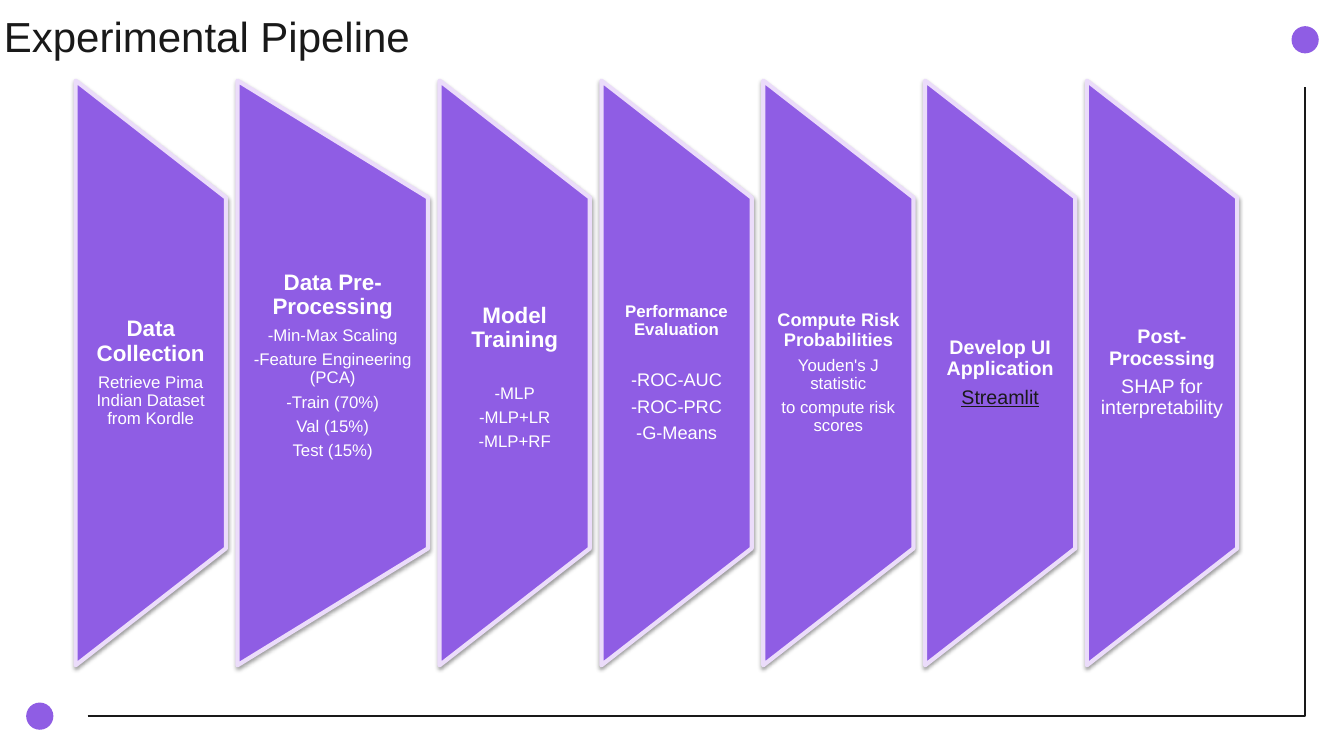
from dataclasses import dataclass

from lxml.etree import SubElement
from pptx import Presentation
from pptx.dml.color import RGBColor
from pptx.enum.shapes import MSO_SHAPE
from pptx.enum.text import MSO_ANCHOR, PP_ALIGN
from pptx.oxml.ns import qn
from pptx.util import Inches, Pt

PURPLE = RGBColor(0x8F, 0x5D, 0xE4)
LILAC = RGBColor(0xEB, 0xDC, 0xFA)
INK = RGBColor(0x19, 0x19, 0x19)
WHITE = RGBColor(0xFF, 0xFF, 0xFF)

PIPELINE_LEFT, PIPELINE_RIGHT = 0.75, 12.27
PIPELINE_MIDDLE, STAGE_HEIGHT, TEXT_HEIGHT = 3.7, 5.8, 3.48
SPACE_RATIO = 0.36


@dataclass
class Stage:
    heading: str
    heading_size: int
    lines: list
    size: int = 12
    width: float = 1.49
    heading_gap: float = 0
    color: RGBColor = WHITE
    underline: bool = False
    anchor: MSO_ANCHOR = MSO_ANCHOR.MIDDLE
    inset_top: float = 0
    inset_bottom: float = 0


STAGES = [
    Stage("Data Collection", 16, ["Retrieve Pima Indian Dataset from Kordle"]),
    Stage("Data Pre-Processing", 16,
          ["-Min-Max Scaling", "-Feature Engineering (PCA)", "-Train (70%)",
           "Val (15%)", "Test (15%)"],
          width=1.89, inset_bottom=0.15),
    Stage("Model Training", 16, ["-MLP", "-MLP+LR", "-MLP+RF"],
          heading_gap=23, anchor=MSO_ANCHOR.TOP, inset_top=1.06),
    Stage("Performance Evaluation", 12, ["-ROC-AUC", "-ROC-PRC", "-G-Means"],
          size=13, heading_gap=23),
    Stage("Compute Risk Probabilities", 13,
          ["Youden's J statistic", "to compute risk scores"]),
    Stage("Develop UI Application", 14, ["Streamlit"], size=14,
          color=INK, underline=True),
    Stage("Post-Processing", 14, ["SHAP for interpretability"], size=14),
]


def add_text_box(page, left, top, width, height, anchor=MSO_ANCHOR.TOP,
                 inset_top=0, inset_bottom=0):
    frame = page.shapes.add_textbox(
        Inches(left), Inches(top), Inches(width), Inches(height)).text_frame
    frame.word_wrap = True
    frame.vertical_anchor = anchor
    frame.margin_left = frame.margin_right = Inches(0.1)
    frame.margin_top = Inches(inset_top)
    frame.margin_bottom = Inches(inset_bottom)
    return frame


def write(para, text, size, color=WHITE, bold=False, underline=False,
          align=PP_ALIGN.CENTER, line_spacing=0.9, space_after=0):
    para.alignment = align
    para.line_spacing = line_spacing
    para.space_after = Pt(space_after)
    span = para.add_run()
    span.text = text
    font = span.font
    font.name, font.size, font.bold = "Arial", Pt(size), bold
    font.underline = underline
    font.color.rgb = color


def add_soft_shadow(shape):
    effects = SubElement(shape._element.spPr, qn("a:effectLst"))
    shadow = SubElement(effects, qn("a:outerShdw"), blurRad=str(Pt(3.1)),
                        dist=str(Pt(1.6)), dir="5400000", rotWithShape="0")
    black = SubElement(shadow, qn("a:srgbClr"), val="000000")
    SubElement(black, qn("a:alpha"), val="38000")


def add_dot(page, left, top, size=0.27):
    dot = page.shapes.add_shape(MSO_SHAPE.OVAL, Inches(left), Inches(top),
                                Inches(size), Inches(size))
    dot.shadow.inherit = False
    dot.fill.solid()
    dot.fill.fore_color.rgb = PURPLE
    dot.line.fill.background()


def add_corner_frame(page, left, top, right, bottom):
    """Draw the line along the bottom and right edges, with a dot at each end."""
    builder = page.shapes.build_freeform(Inches(left), Inches(bottom))
    builder.add_line_segments([(Inches(right), Inches(bottom)),
                               (Inches(right), Inches(top))], close=False)
    edge = builder.convert_to_shape()
    edge.shadow.inherit = False
    edge.fill.background()
    edge.line.color.rgb = INK
    edge.line.width = Pt(1.5)
    add_dot(page, right - 0.13, top - 0.6)
    add_dot(page, left - 0.61, bottom - 0.13)


def add_title(page, left, top, width, height):
    frame = add_text_box(page, left, top, width, height,
                         inset_top=0.1, inset_bottom=0.1)
    write(frame.paragraphs[0], "Experimental Pipeline", 30, color=INK,
          align=PP_ALIGN.LEFT, line_spacing=1.0)


def add_stage(page, stage, left, middle):
    """Place a panel, turned a quarter left, and its text over it."""
    panel = page.shapes.add_shape(
        MSO_SHAPE.FLOWCHART_MANUAL_OPERATION,
        Inches(left + (stage.width - STAGE_HEIGHT) / 2),
        Inches(middle - stage.width / 2),
        Inches(STAGE_HEIGHT), Inches(stage.width))
    panel.rotation = 270
    panel.fill.solid()
    panel.fill.fore_color.rgb = PURPLE
    panel.line.color.rgb = LILAC
    panel.line.width = Pt(3)
    add_soft_shadow(panel)

    frame = add_text_box(page, left, middle - TEXT_HEIGHT / 2, stage.width,
                         TEXT_HEIGHT, anchor=stage.anchor,
                         inset_top=stage.inset_top,
                         inset_bottom=stage.inset_bottom)
    write(frame.paragraphs[0], stage.heading, stage.heading_size, bold=True,
          space_after=stage.heading_gap or SPACE_RATIO * stage.heading_size)
    for line in stage.lines:
        write(frame.add_paragraph(), line, stage.size, color=stage.color,
              underline=stage.underline, space_after=SPACE_RATIO * stage.size)


def add_pipeline(page, left, right, middle):
    spare = right - left - sum(stage.width for stage in STAGES)
    gap = spare / (len(STAGES) - 1)
    for stage in STAGES:
        add_stage(page, stage, left, middle)
        left += stage.width + gap


def main():
    deck = Presentation()
    deck.slide_width, deck.slide_height = Inches(13.33), Inches(7.5)
    page = deck.slides.add_slide(deck.slide_layouts[6])
    add_corner_frame(page, 0.87, 0.86, 12.94, 7.1)
    add_title(page, -0.06, 0, 11.23, 0.64)
    add_pipeline(page, PIPELINE_LEFT, PIPELINE_RIGHT, PIPELINE_MIDDLE)
    deck.save("out.pptx")


if __name__ == "__main__":
    main()
